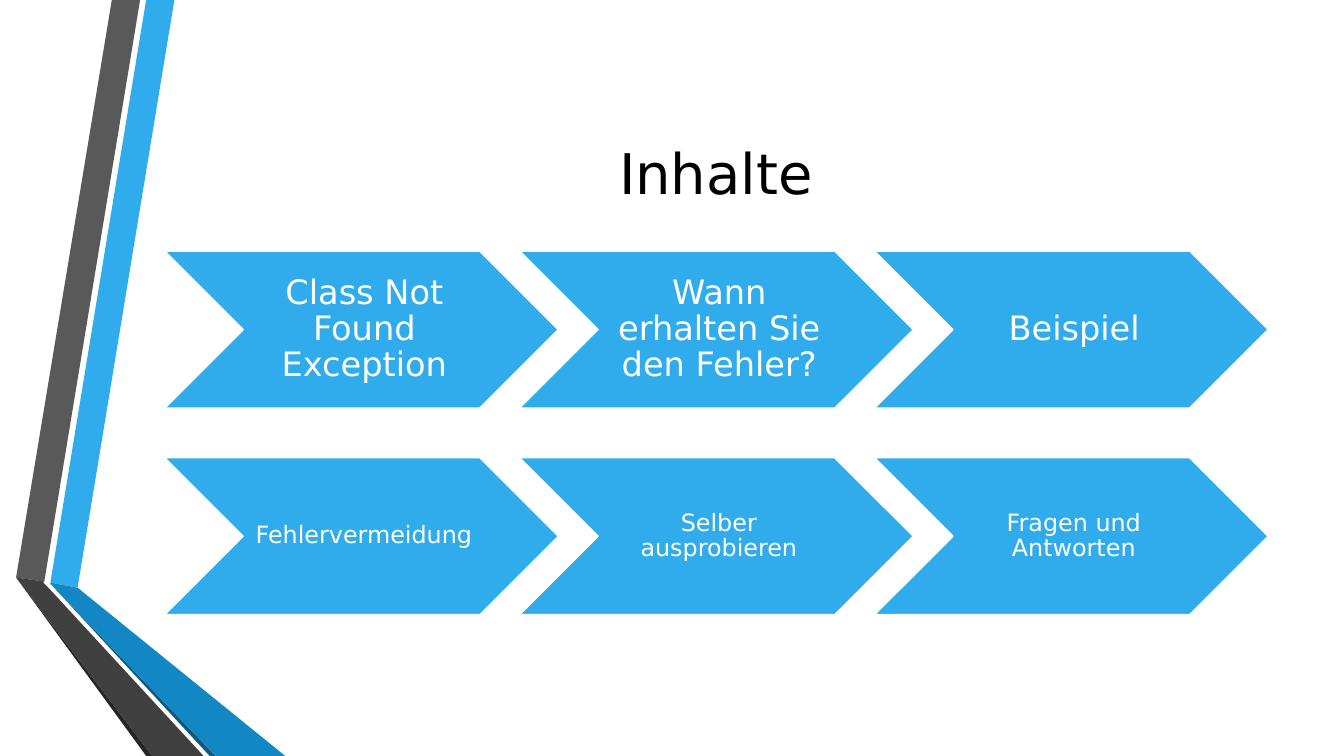
"""Builds the contents slide with six chevrons and a folded ribbon."""
from pptx import Presentation
from pptx.dml.color import RGBColor
from pptx.enum.shapes import MSO_SHAPE
from pptx.enum.text import MSO_ANCHOR, PP_ALIGN
from pptx.util import Pt

PX = 9144
FONT = "DejaVu Sans"
CHEVRON = MSO_SHAPE.CHEVRON
MIDDLE = MSO_ANCHOR.MIDDLE
CENTER = PP_ALIGN.CENTER

COLORS = {
    "blue": "30ACEC",
    "blue_fold": "1287C3",
    "blue_edge": "0C5A82",
    "gray": "595959",
    "gray_fold": "404040",
    "gray_edge": "262626",
    "white": "FFFFFF",
    "black": "000000",
}

RIBBONS = [
    ("blue", [(50, 578), (77, 583), (173, 0), (145, 0)]),
    ("gray", [(139, 0), (111, 0), (16, 573), (44, 577)]),
    ("gray_edge", [(16, 573), (145, 750), (151, 750)]),
    ("blue_edge", [(50, 579), (208, 750), (214, 750)]),
    ("blue_fold", [(50, 579), (214, 750), (283, 750), (77, 583), (50, 578)]),
    ("gray_fold", [(202, 750), (48, 583), (43, 578), (44, 577), (16, 573), (151, 750)]),
]

ROWS = [
    (24, (10, 4, 4, 4), ["Class Not Found Exception", "Wann erhalten Sie den Fehler?", "Beispiel"]),
    (17, (7, 2, 2, 2), ["Fehlervermeidung", "Selber ausprobieren", "Fragen und Antworten"]),
]
LEFT, TOP = 163, 249
COL_STEP, ROW_STEP = 352, 205
CHEVRON_W, CHEVRON_H = 391, 156
LABEL_INDENT = CHEVRON_H // 2


def rgb(name):
    """Return the named colour."""
    return RGBColor.from_string(COLORS[name])


def add_text(s, text, x, y, w, h, *, size, color, insets=(10, 5, 10, 5), spacing=1.0):
    """Add a centred text box."""
    tf = s.shapes.add_textbox(x * PX, y * PX, w * PX, h * PX).text_frame
    tf.word_wrap = True
    tf.vertical_anchor = MIDDLE
    tf.margin_left, tf.margin_top, tf.margin_right, tf.margin_bottom = (i * PX for i in insets)
    p = tf.paragraphs[0]
    p.alignment = CENTER
    p.line_spacing = spacing
    r = p.add_run()
    r.text = text
    r.font.name = FONT
    r.font.size = Pt(size)
    r.font.color.rgb = rgb(color)


def add_ribbon(s, color, points):
    """Add one closed, borderless piece of the ribbon."""
    builder = s.shapes.build_freeform(*points[0], scale=PX)
    builder.add_line_segments(points[1:], close=True)
    sp = builder.convert_to_shape()
    sp.shadow.inherit = False
    sp.fill.solid()
    sp.fill.fore_color.rgb = rgb(color)
    sp.line.fill.background()


def add_chevron(s, text, x, y, size, insets):
    """Add a chevron and its label."""
    sp = s.shapes.add_shape(CHEVRON, x * PX, y * PX, CHEVRON_W * PX, CHEVRON_H * PX)
    sp.shadow.inherit = False
    sp.fill.solid()
    sp.fill.fore_color.rgb = rgb("blue")
    sp.line.color.rgb = rgb("white")
    sp.line.width = Pt(1.25)
    add_text(s, text, x + LABEL_INDENT, y, CHEVRON_W - 2 * LABEL_INDENT, CHEVRON_H,
             size=size, color="white", insets=insets, spacing=0.9)


def main():
    """Build and save the slide."""
    prs = Presentation()
    prs.slide_width, prs.slide_height = 1333 * PX, 750 * PX
    s = prs.slides.add_slide(prs.slide_layouts[6])
    for color, points in RIBBONS:
        add_ribbon(s, color, points)
    add_text(s, "Inhalte", 162, 75, 1096, 192, size=40, color="black")
    for row, (size, insets, labels) in enumerate(ROWS):
        for col, label in enumerate(labels):
            add_chevron(s, label, LEFT + col * COL_STEP, TOP + row * ROW_STEP, size, insets)
    prs.save("out.pptx")


if __name__ == "__main__":
    main()
